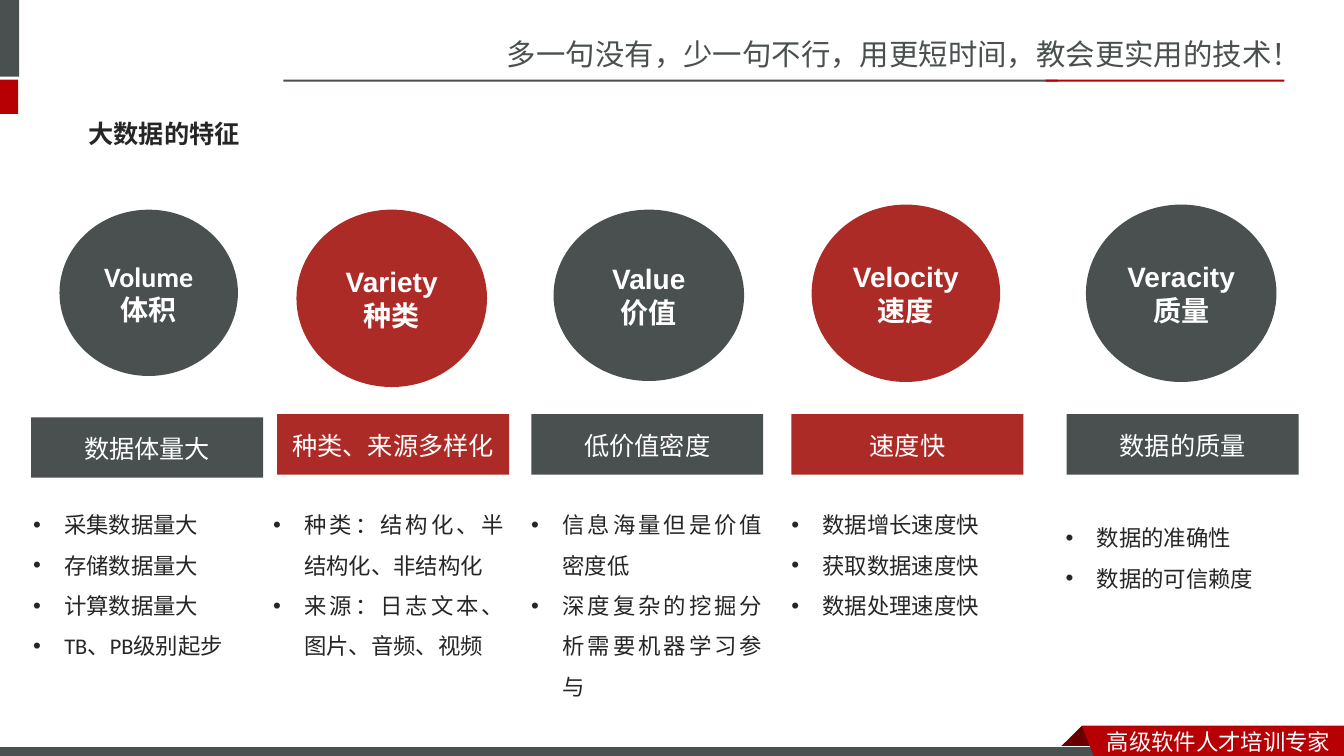
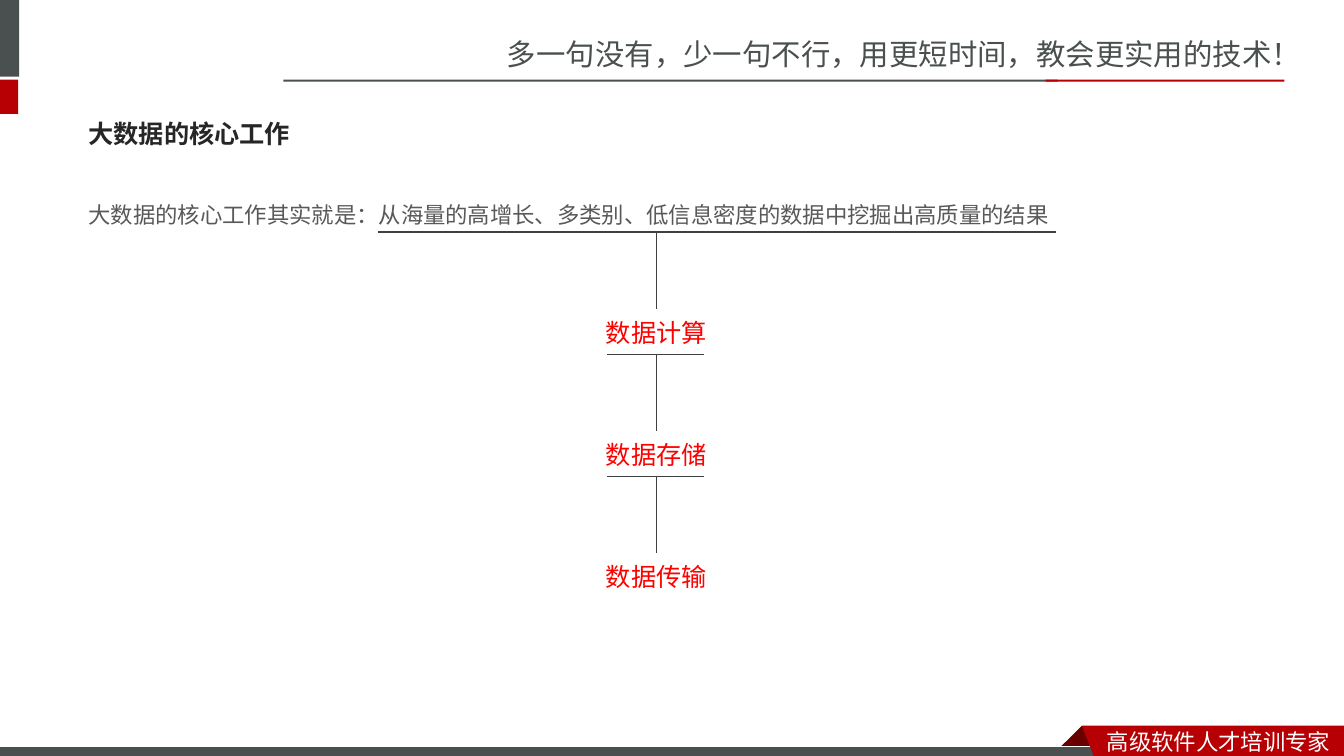
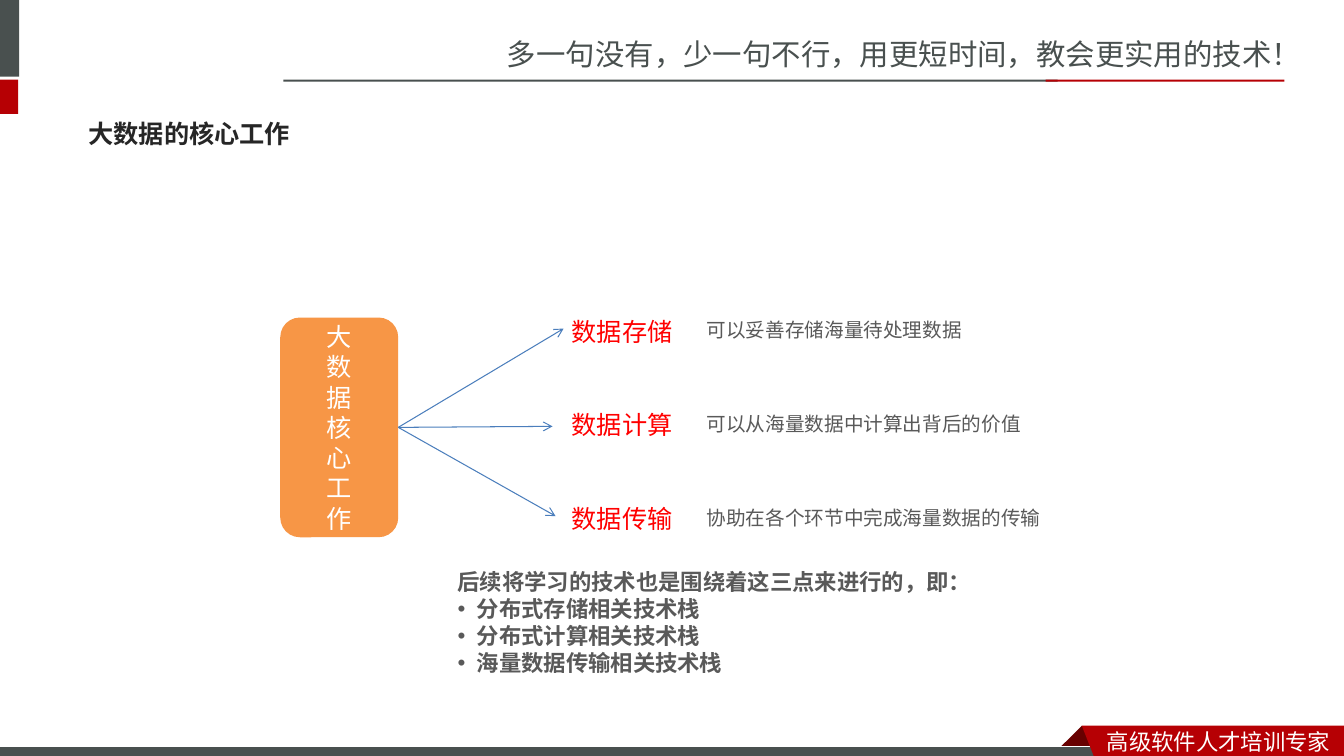
from dataclasses import dataclass

from lxml import etree
from pptx import Presentation
from pptx.dml.color import RGBColor
from pptx.enum.shapes import MSO_CONNECTOR, MSO_SHAPE
from pptx.enum.text import MSO_ANCHOR, PP_ALIGN
from pptx.oxml.ns import qn
from pptx.util import Inches, Pt

SLATE = RGBColor(0x49, 0x50, 0x4F)
RED = RGBColor(0xB6, 0x00, 0x04)
DARK_RED = RGBColor(0x68, 0x00, 0x00)
BRICK = RGBColor(0xAD, 0x2B, 0x26)
BRIGHT_RED = RGBColor(0xFF, 0x00, 0x00)
ORANGE = RGBColor(0xF7, 0x96, 0x46)
BLUE = RGBColor(0x4B, 0x7E, 0xBC)
WHITE = RGBColor(0xFF, 0xFF, 0xFF)
INK = RGBColor(0x26, 0x26, 0x26)
GREY = RGBColor(0x59, 0x59, 0x59)
LINE_GREY = RGBColor(0x40, 0x40, 0x40)

SANS_SC = "Noto Sans CJK SC"
SANS_JP = "Noto Sans CJK JP"

SINGLE, TIGHT, OPEN = 1.3, 1.2, 1.8  # line height as a multiple of the text size


@dataclass
class Feature:
    name: str
    label: str
    points: list
    color: RGBColor
    circle: tuple
    label_at: tuple
    list_at: tuple
    name_font: str = "Arial"
    list_font: str = "Arial"


FEATURES = [
    Feature("Volume\n体积", "数据体量大",
            ["采集数据量大", "存储数据量大", "计算数据量大", "TB、PB级别起步"],
            SLATE, (0.59, 2.08, 1.77, 1.65), (0.31, 4.14), (0.23, 4.89), "Calibri", "Calibri"),
    Feature("Variety\n种类", "种类、来源多样化",
            ["种类：结构化、半结构化、非结构化", "来源：日志文本、图片、音频、视频"],
            BRICK, (2.94, 2.08, 1.89, 1.76), (2.75, 4.11), (2.61, 4.89), list_font="Calibri"),
    Feature("Value\n价值", "低价值密度",
            ["信息海量但是价值密度低", "深度复杂的挖掘分析需要机器学习参与"],
            SLATE, (5.49, 2.08, 1.89, 1.7), (5.27, 4.11), (5.17, 4.89)),
    Feature("Velocity\n速度", "速度快",
            ["数据增长速度快", "获取数据速度快", "数据处理速度快"],
            BRICK, (8.05, 2.03, 1.87, 1.76), (7.85, 4.11), (7.75, 4.89)),
    Feature("Veracity\n质量", "数据的质量",
            ["数据的准确性", "数据的可信赖度"],
            SLATE, (10.77, 2.03, 1.89, 1.76), (10.58, 4.11), (10.47, 5.02)),
]


def write(shape, text, size, color, font=SANS_SC, bold=False,
          align=PP_ALIGN.LEFT, anchor=MSO_ANCHOR.TOP, leading=SINGLE):
    frame = shape.text_frame
    frame.word_wrap = True
    frame.vertical_anchor = anchor
    frame.text = text
    for paragraph in frame.paragraphs:
        paragraph.alignment = align
        paragraph.line_spacing = Pt(round(size * leading, 1))
        for run in paragraph.runs:
            run.font.size = Pt(size)
            run.font.bold = bold
            run.font.color.rgb = color
            run.font.name = font
            east_asian = font if font in (SANS_SC, SANS_JP) else SANS_SC
            etree.SubElement(run.font._element, qn("a:ea"), typeface=east_asian)


def add_text(slide, box, text, size, color, **style):
    shape = slide.shapes.add_textbox(*map(Inches, box))
    write(shape, text, size, color, **style)
    return shape


def add_bullets(paragraphs, indent):
    for paragraph in paragraphs:
        properties = paragraph._p.get_or_add_pPr()
        properties.set("marL", str(Inches(indent)))
        properties.set("indent", str(-Inches(indent)))
        etree.SubElement(properties, qn("a:buFont"), typeface="Arial")
        etree.SubElement(properties, qn("a:buChar"), char="•")


def paint(shape, color):
    shape.shadow.inherit = False
    shape.fill.solid()
    shape.fill.fore_color.rgb = color
    shape.line.fill.background()


def add_block(slide, kind, box, color):
    shape = slide.shapes.add_shape(kind, *map(Inches, box))
    paint(shape, color)
    return shape


def add_outline(slide, points, color):
    corners = [(Inches(x), Inches(y)) for x, y in points]
    builder = slide.shapes.build_freeform(*corners[0])
    builder.add_line_segments(corners[1:], close=True)
    paint(builder.convert_to_shape(), color)


def add_line(slide, start, end, color, width, arrow=False):
    line = slide.shapes.add_connector(
        MSO_CONNECTOR.STRAIGHT, *map(Inches, (*start, *end)))
    line.line.color.rgb = color
    line.line.width = Pt(width)
    if arrow:
        etree.SubElement(line.line._get_or_add_ln(), qn("a:tailEnd"), type="arrow")
    etree.SubElement(line._element.spPr, qn("a:effectLst"))
    return line


def add_framed_slide(presentation, title):
    """Add a blank slide with the shared header, footer and title."""
    slide = presentation.slides.add_slide(presentation.slide_layouts[6])
    add_text(slide, (4.93, 0.28, 8.41, 0.45),
             "多一句没有，少一句不行，用更短时间，教会更实用的技术！", 21, SLATE)
    for box, color in [((-0.06, 0, 0.25, 0.76), SLATE),
                       ((-0.06, 0.79, 0.24, 0.34), RED),
                       ((2.81, 0.79, 7.68, 0.02), SLATE),
                       ((10.37, 0.79, 2.37, 0.02), RED)]:
        add_block(slide, MSO_SHAPE.RECTANGLE, box, color)

    add_outline(slide, [(10.73, 7.2), (10.95, 7.42), (10.94, 7.43),
                        (10.52, 7.43), (10.51, 7.42)], DARK_RED)
    footer_bar = add_block(slide, MSO_SHAPE.RECTANGLE, (-0.01, 7.41, 11, 0.12), SLATE)
    footer_bar.line.color.rgb = WHITE
    footer_bar.line.width = Pt(0.75)
    add_outline(slide, [(10.73, 7.2), (13.33, 7.2), (13.33, 7.54), (10.86, 7.53)], RED)
    add_text(slide, (10.88, 7.15, 2.45, 0.37), "高级软件人才培训专家", 16, WHITE)

    add_text(slide, (0.78, 1.03, 11.7, 0.57), title, 18, INK,
             font=SANS_JP, bold=True, anchor=MSO_ANCHOR.MIDDLE)
    return slide


def add_feature(slide, feature):
    centred = {"align": PP_ALIGN.CENTER, "anchor": MSO_ANCHOR.MIDDLE}
    circle = add_block(slide, MSO_SHAPE.OVAL, feature.circle, feature.color)
    write(circle, feature.name, 20, WHITE, font=feature.name_font, bold=True,
          leading=TIGHT, **centred)

    label = add_block(slide, MSO_SHAPE.RECTANGLE, (*feature.label_at, 2.3, 0.6), feature.color)
    label.text_frame.margin_left = label.text_frame.margin_right = 0
    write(label, feature.label, 18, WHITE, font="Arial", **centred)

    height = 2.12 if feature.list_at[1] < 5 else 0.91
    points = add_text(slide, (*feature.list_at, 2.49, height), "\n".join(feature.points),
                      16, INK, font=feature.list_font, align=PP_ALIGN.JUSTIFY, leading=OPEN)
    add_bullets(points.text_frame.paragraphs, 0.31)


def add_keyword(slide, left, top, text):
    return add_text(slide, (left, top, 4.44, 0.4), text, 18, BRIGHT_RED,
                    align=PP_ALIGN.CENTER)


def build_features(presentation):
    slide = add_framed_slide(presentation, "大数据的特征")
    for feature in FEATURES:
        add_feature(slide, feature)


def build_core_work(presentation):
    slide = add_framed_slide(presentation, "大数据的核心工作")
    add_text(slide, (0.78, 1.81, 11.7, 0.52),
             "大数据的核心工作其实就是：从海量的高增长、多类别、低信息密度的数据中挖掘出高质量的结果",
             16, GREY, leading=OPEN)
    add_line(slide, (3.75, 2.3), (10.47, 2.3), LINE_GREY, 1)

    keywords = ["数据计算", "数据存储", "数据传输"]
    for index, text in enumerate(keywords):
        top = 3.07 + 1.21 * index
        keyword = add_keyword(slide, 4.29, top, text)
        stem = add_line(slide, (6.51, top - 0.77), (6.51, top), LINE_GREY, 1)
        stem.end_connect(keyword, 0)
        if index < len(keywords) - 1:
            add_line(slide, (6.02, top + 0.45), (6.98, top + 0.45), LINE_GREY, 0.75)


def build_core_tasks(presentation):
    slide = add_framed_slide(presentation, "大数据的核心工作")
    source = add_block(slide, MSO_SHAPE.ROUNDED_RECTANGLE, (2.78, 3.15, 1.17, 2.18), ORANGE)
    write(source, "\n".join("大数据核心工作"), 18, WHITE, font="Calibri",
          align=PP_ALIGN.CENTER, anchor=MSO_ANCHOR.MIDDLE, leading=TIGHT)

    tasks = [("数据存储", "可以妥善存储海量待处理数据", (5.59, 3.26)),
             ("数据计算", "可以从海量数据中计算出背后的价值", (5.48, 4.23)),
             ("数据传输", "协助在各个环节中完成海量数据的传输", (5.51, 5.12))]
    for index, (text, description, tip) in enumerate(tasks):
        top = 3.06 + 0.93 * index
        add_keyword(slide, 3.95, top, text)
        add_text(slide, (6.91, top + 0.03, 4.44, 0.34), description, 14, GREY, font=SANS_JP)
        arrow = add_line(slide, (3.95, 4.24), tip, BLUE, 0.75, arrow=True)
        arrow.begin_connect(source, 3)

    summary = add_text(slide, (4.44, 5.59, 5.75, 1.18), "\n".join([
        "后续将学习的技术也是围绕着这三点来进行的，即：",
        "分布式存储相关技术栈",
        "分布式计算相关技术栈",
        "海量数据传输相关技术栈",
    ]), 16, GREY, bold=True, leading=TIGHT)
    add_bullets(summary.text_frame.paragraphs[1:], 0.19)


def main():
    presentation = Presentation()
    presentation.slide_width = Inches(13.33)
    presentation.slide_height = Inches(7.5)
    build_features(presentation)
    build_core_work(presentation)
    build_core_tasks(presentation)
    presentation.save("out.pptx")


if __name__ == "__main__":
    main()
